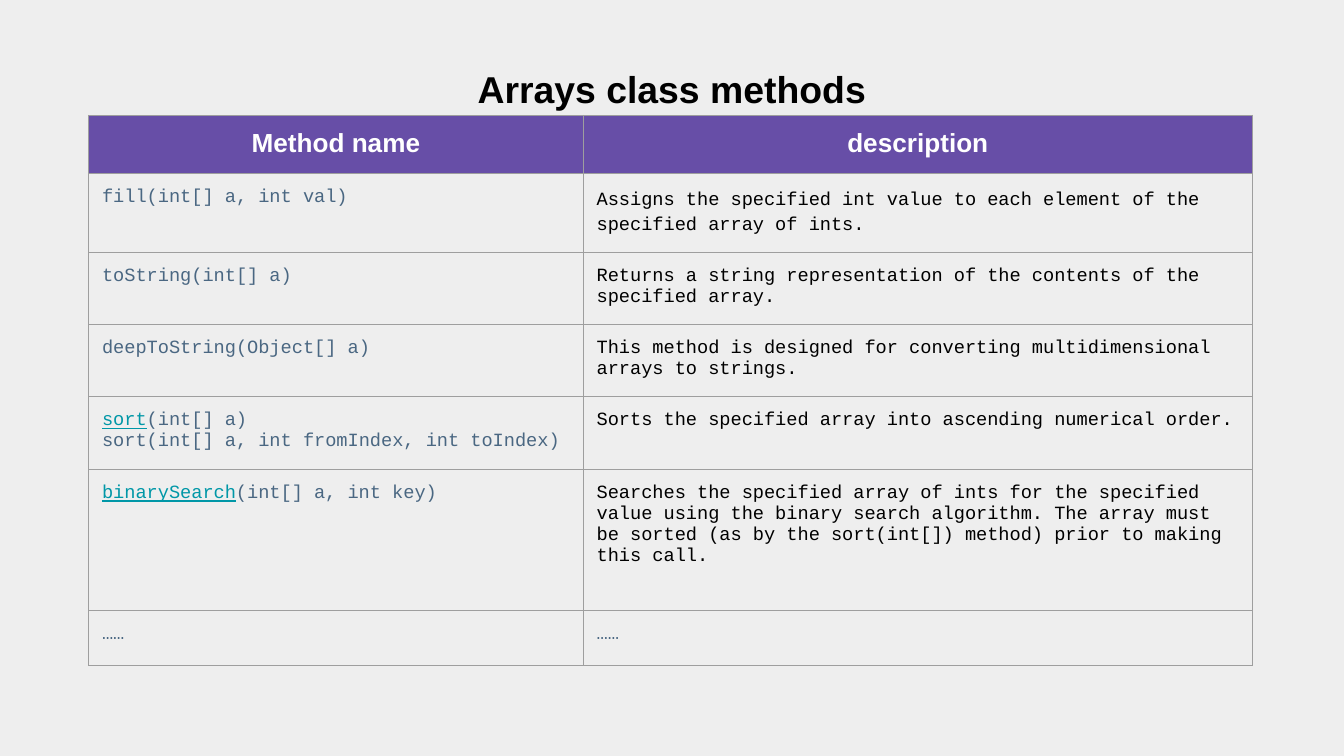
from lxml import etree
from pptx import Presentation
from pptx import util as u
from pptx.dml.color import RGBColor
from pptx.enum import text
from pptx.oxml import ns

SANS, MONO = "Arial", "Courier New"
BLACK, WHITE, PURPLE = "000000", "FFFFFF", "674EA7"
SLATE, TEAL, GREY, PALE = "4A6782", "0097A7", "9E9E9E", "EEEEEE"

COLUMN_WIDTHS = [3.68, 4.98]
ROW_HEIGHTS = [0.4, 0.52, 0.5, 0.54, 0.54, 1.05, 0.41]
FRAME_SIZE = 3.28
HEADINGS = ["Method name", "description"]
METHODS = [
    ([("", "fill(int[] a, int val)")],
     "Assigns the specified int value to each element of the specified array of ints."),
    ([("", "toString(int[] a)")],
     "Returns a string representation of the contents of the specified array."),
    ([("", "deepToString(Object[] a)")],
     "This method is designed for converting multidimensional arrays to strings."),
    ([("sort", "(int[] a)"), ("", "sort(int[] a, int fromIndex, int toIndex)")],
     "Sorts the specified array into ascending numerical order."),
    ([("binarySearch", "(int[] a, int key)")],
     "Searches the specified array of ints for the specified value using the binary "
     "search algorithm. The array must be sorted (as by the sort(int[]) method) "
     "prior to making this call."),
    ([("", "……")], "……"),
]


def rgb(value):
    return RGBColor.from_string(value)


def add_text(para, words, size=10, font=MONO, color=BLACK, bold=False,
             underline=False, align=text.PP_ALIGN.LEFT):
    para.alignment = align
    span = para.add_run()
    span.text = words
    span.font.size = u.Pt(size)
    span.font.name = font
    span.font.bold = bold
    span.font.underline = underline
    span.font.color.rgb = rgb(color)


def set_margins(holder):
    for side in ("left", "top", "right", "bottom"):
        setattr(holder, f"margin_{side}", u.Inches(0.1))


def add_title(page, words):
    box = page.shapes.add_textbox(u.Inches(0), u.Inches(0.32), u.Inches(10), u.Inches(0.63))
    frame = box.text_frame
    frame.word_wrap = True
    frame.vertical_anchor = text.MSO_ANCHOR.MIDDLE
    set_margins(frame)
    para = frame.paragraphs[0]
    para.line_spacing = 1.15
    add_text(para, words, size=20, font=SANS, bold=True, align=text.PP_ALIGN.CENTER)


def style_cell(cell, fill=None):
    set_margins(cell)
    properties = cell._tc.get_or_add_tcPr()
    for side in ("lnL", "lnR", "lnT", "lnB"):
        line = etree.SubElement(properties, ns.qn(f"a:{side}"), w=str(u.Pt(0.75)))
        solid = etree.SubElement(line, ns.qn("a:solidFill"))
        etree.SubElement(solid, ns.qn("a:srgbClr"), val=GREY)
    if fill:
        cell.fill.solid()
        cell.fill.fore_color.rgb = rgb(fill)
    else:
        cell.fill.background()


def write_signatures(cell, signatures):
    frame = cell.text_frame
    for index, (link, rest) in enumerate(signatures):
        para = frame.add_paragraph() if index else frame.paragraphs[0]
        if link:
            add_text(para, link, color=TEAL, underline=True)
        add_text(para, rest, color=SLATE)


def add_method_table(page):
    frame = page.shapes.add_table(
        len(ROW_HEIGHTS), len(COLUMN_WIDTHS), u.Inches(0.66), u.Inches(0.86),
        u.Inches(FRAME_SIZE), u.Inches(FRAME_SIZE))
    table = frame.table
    table.first_row = table.horz_banding = False
    for column, width in zip(table.columns, COLUMN_WIDTHS):
        column.width = u.Inches(width)
    for row, height in zip(table.rows, ROW_HEIGHTS):
        row.height = u.Inches(height)
    frame.width = frame.height = u.Inches(FRAME_SIZE)

    for index, heading in enumerate(HEADINGS):
        cell = table.cell(0, index)
        style_cell(cell, PURPLE)
        add_text(cell.text_frame.paragraphs[0], heading, size=14, font=SANS,
                 color=WHITE, bold=True, align=text.PP_ALIGN.CENTER)

    for index, (signatures, description) in enumerate(METHODS, start=1):
        name_cell, description_cell = table.cell(index, 0), table.cell(index, 1)
        style_cell(name_cell)
        style_cell(description_cell)
        write_signatures(name_cell, signatures)
        color = SLATE if description == "……" else BLACK
        add_text(description_cell.text_frame.paragraphs[0], description, color=color)

    first_description = table.cell(1, 1).text_frame.paragraphs[0]
    first_description.line_spacing = 1.15
    first_description.space_after = u.Pt(4)


def main():
    deck = Presentation()
    deck.slide_width = u.Inches(10)
    deck.slide_height = deck.slide_width * 9 // 16
    page = deck.slides.add_slide(deck.slide_layouts[6])
    page.background.fill.solid()
    page.background.fill.fore_color.rgb = rgb(PALE)
    add_title(page, "Arrays class methods")
    add_method_table(page)
    deck.save("out.pptx")


if __name__ == "__main__":
    main()
